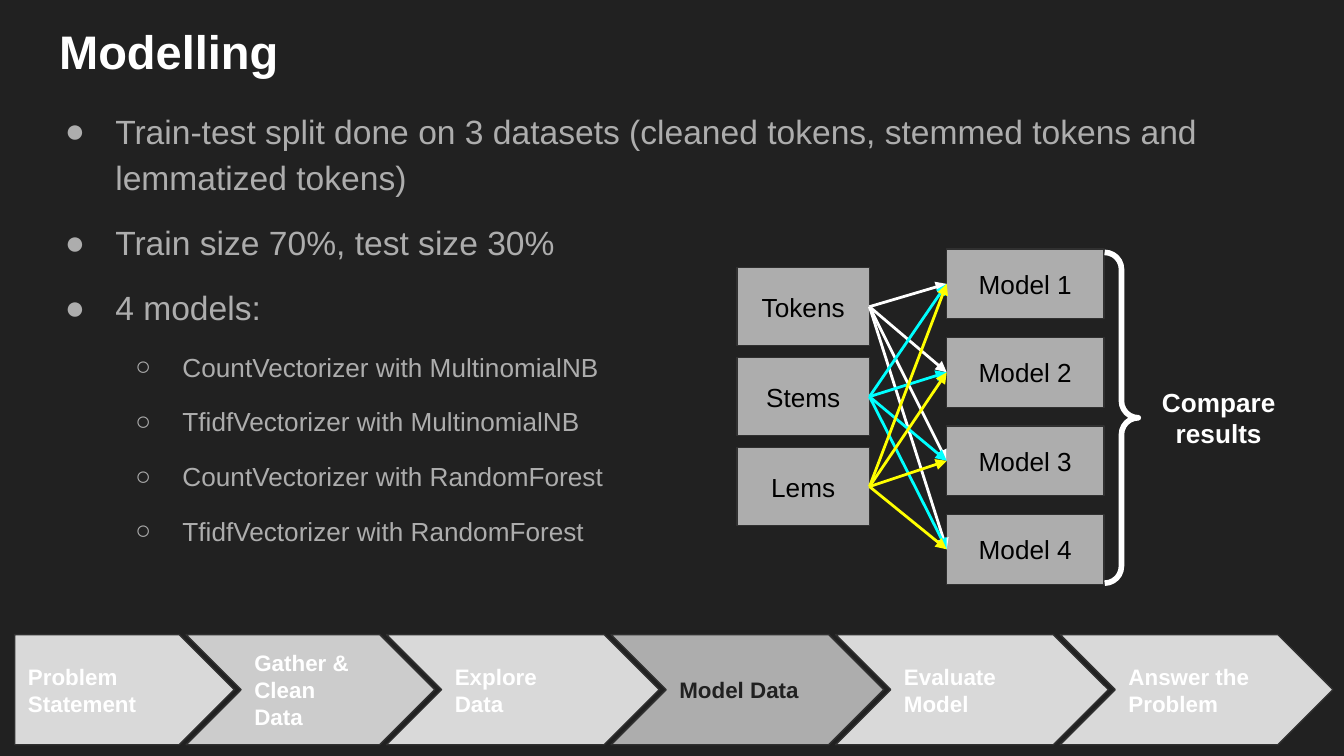
from lxml.etree import SubElement
from pptx import Presentation
from pptx.dml.color import RGBColor
from pptx.enum.shapes import MSO_CONNECTOR as Connector, MSO_SHAPE as Preset
from pptx.enum.text import MSO_ANCHOR as Anchor, MSO_AUTO_SIZE as AutoSize, PP_ALIGN as Align
from pptx.oxml.ns import qn
from pptx.util import Pt

BACKGROUND, OUTLINE, GREY, WHITE = "212121", "303030", "ADADAD", "FFFFFF"
LIGHT, MEDIUM, BLACK = "D9D9D9", "CCCCCC", "000000"

BULLETS = [
    (0, "Train-test split done on 3 datasets (cleaned tokens, stemmed tokens and lemmatized tokens)"),
    (0, "Train size 70%, test size 30%"),
    (0, "4 models:"),
    (1, "CountVectorizer with MultinomialNB"),
    (1, "TfidfVectorizer with MultinomialNB"),
    (1, "CountVectorizer with RandomForest"),
    (1, "TfidfVectorizer with RandomForest"),
]
BULLET_STYLES = [(36, -27, "●", 18), (72, -25.2, "○", 14)]
DATASETS = [("Tokens", WHITE), ("Stems", "00FFFF"), ("Lems", "FFFF00")]
MODELS = ["Model 1", "Model 2", "Model 3", "Model 4"]
STEPS = [
    ("Problem Statement", 117.6, LIGHT, WHITE),
    ("Gather & Clean Data", 133.2, MEDIUM, WHITE),
    ("Explore Data", 146.1, LIGHT, WHITE),
    ("Model Data", 146.1, GREY, BACKGROUND),
    ("Evaluate Model", 146.1, LIGHT, WHITE),
    ("Answer the Problem", 146.1, LIGHT, WHITE),
]


def rgb(value):
    return RGBColor.from_string(value)


def set_frame(frame, anchor):
    frame.word_wrap = True
    frame.auto_size = AutoSize.NONE
    frame.vertical_anchor = anchor
    frame.margin_left = frame.margin_right = Pt(7.2)
    frame.margin_top = frame.margin_bottom = Pt(7.2)


def set_font(paragraph, size, color, bold=False):
    font = paragraph.font
    font.name, font.size, font.bold = "Arial", Pt(size), bold
    font.color.rgb = rgb(color)


def write(shape, text, size, color, bold=False, align=Align.LEFT, anchor=Anchor.MIDDLE):
    set_frame(shape.text_frame, anchor)
    paragraph = shape.text_frame.paragraphs[0]
    paragraph.text = text
    paragraph.alignment = align
    set_font(paragraph, size, color, bold)


def add_block(slide, preset, left, top, width, height, fill):
    shape = slide.shapes.add_shape(preset, Pt(left), Pt(top), Pt(width), Pt(height))
    shape.shadow.inherit = False
    shape.fill.solid()
    shape.fill.fore_color.rgb = rgb(fill)
    shape.line.color.rgb = rgb(OUTLINE)
    shape.line.width = Pt(0.75)
    return shape


def add_title(slide, left, top, width, height):
    title = slide.shapes.title
    title.left, title.top, title.width, title.height = Pt(left), Pt(top), Pt(width), Pt(height)
    write(title, "Modelling", 25.2, WHITE, True, anchor=Anchor.TOP)


def set_bullet(paragraph, margin, indent, character):
    properties = paragraph._p.get_or_add_pPr()
    properties.set("marL", str(Pt(margin)))
    properties.set("indent", str(Pt(indent)))
    color = SubElement(properties, qn("a:buClr"))
    SubElement(color, qn("a:srgbClr"), val=GREY)
    SubElement(properties, qn("a:buFont"), typeface="Arial")
    SubElement(properties, qn("a:buChar"), char=character)


def add_bullets(slide, left, top, width, height):
    box = slide.shapes.add_textbox(Pt(left), Pt(top), Pt(width), Pt(height))
    frame = box.text_frame
    set_frame(frame, Anchor.TOP)
    for index, (level, text) in enumerate(BULLETS):
        paragraph = frame.add_paragraph() if index else frame.paragraphs[0]
        paragraph.text = text
        paragraph.level = level
        margin, indent, character, size = BULLET_STYLES[level]
        set_bullet(paragraph, margin, indent, character)
        paragraph.line_spacing = 1.15
        paragraph.space_before = Pt(10 if index else 0)
        set_font(paragraph, size, GREY)


def add_column(slide, labels, left, top, width, height, pitch):
    blocks = []
    for index, label in enumerate(labels):
        block = add_block(slide, Preset.RECTANGLE, left, top + index * pitch, width, height, GREY)
        write(block, label, 14, BLACK, align=Align.CENTER)
        blocks.append(block)
    return blocks


def add_arrow(slide, source, target, color):
    arrow = slide.shapes.add_connector(Connector.STRAIGHT, 0, 0, 0, 0)
    arrow.begin_connect(source, 3)
    arrow.end_connect(target, 1)
    arrow.line.color.rgb = rgb(color)
    arrow.line.width = Pt(1.5)
    SubElement(arrow.line._get_or_add_ln(), qn("a:tailEnd"), type="triangle")
    SubElement(arrow._element.spPr, qn("a:effectLst"))


def add_model_diagram(slide, left, top):
    datasets = add_column(slide, [name for name, _ in DATASETS], left, top + 10, 71, 41.8, 48.2)
    models = add_column(slide, MODELS, left + 112.4, top, 84.2, 37.4, 47.4)
    brace = slide.shapes.add_shape(
        Preset.RIGHT_BRACE, Pt(left + 197), Pt(top + 1.8), Pt(18), Pt(177.2))
    brace.adjustments[0], brace.adjustments[1] = 0.5, 0.5
    brace.shadow.inherit = False
    brace.fill.background()
    brace.line.color.rgb = rgb(WHITE)
    brace.line.width = Pt(3)
    result = slide.shapes.add_textbox(Pt(left + 216), Pt(top + 66.2), Pt(84.2), Pt(48.2))
    write(result, "Compare results", 14, WHITE, True, Align.CENTER, Anchor.TOP)
    for dataset, (_, color) in zip(datasets, DATASETS):
        for model in models:
            add_arrow(slide, dataset, model, color)


def add_process(slide, left, top, height, overlap):
    for index, (text, width, fill, color) in enumerate(STEPS):
        preset = Preset.CHEVRON if index else Preset.PENTAGON
        step = add_block(slide, preset, left, top, width, height, fill)
        write(step, text, 12, color, True)
        left += width - overlap


def main():
    presentation = Presentation()
    presentation.slide_width, presentation.slide_height = Pt(720), Pt(405)
    slide = presentation.slides.add_slide(presentation.slide_layouts[5])
    slide.background.fill.solid()
    slide.background.fill.fore_color.rgb = rgb(BACKGROUND)
    add_bullets(slide, 18.7, 49, 659.5, 291.6)
    add_process(slide, 7.9, 340, 59, 25.8)
    add_title(slide, 24.5, 5, 671, 45.4)
    add_model_diagram(slide, 394.8, 133.4)
    presentation.save("out.pptx")


if __name__ == "__main__":
    main()
